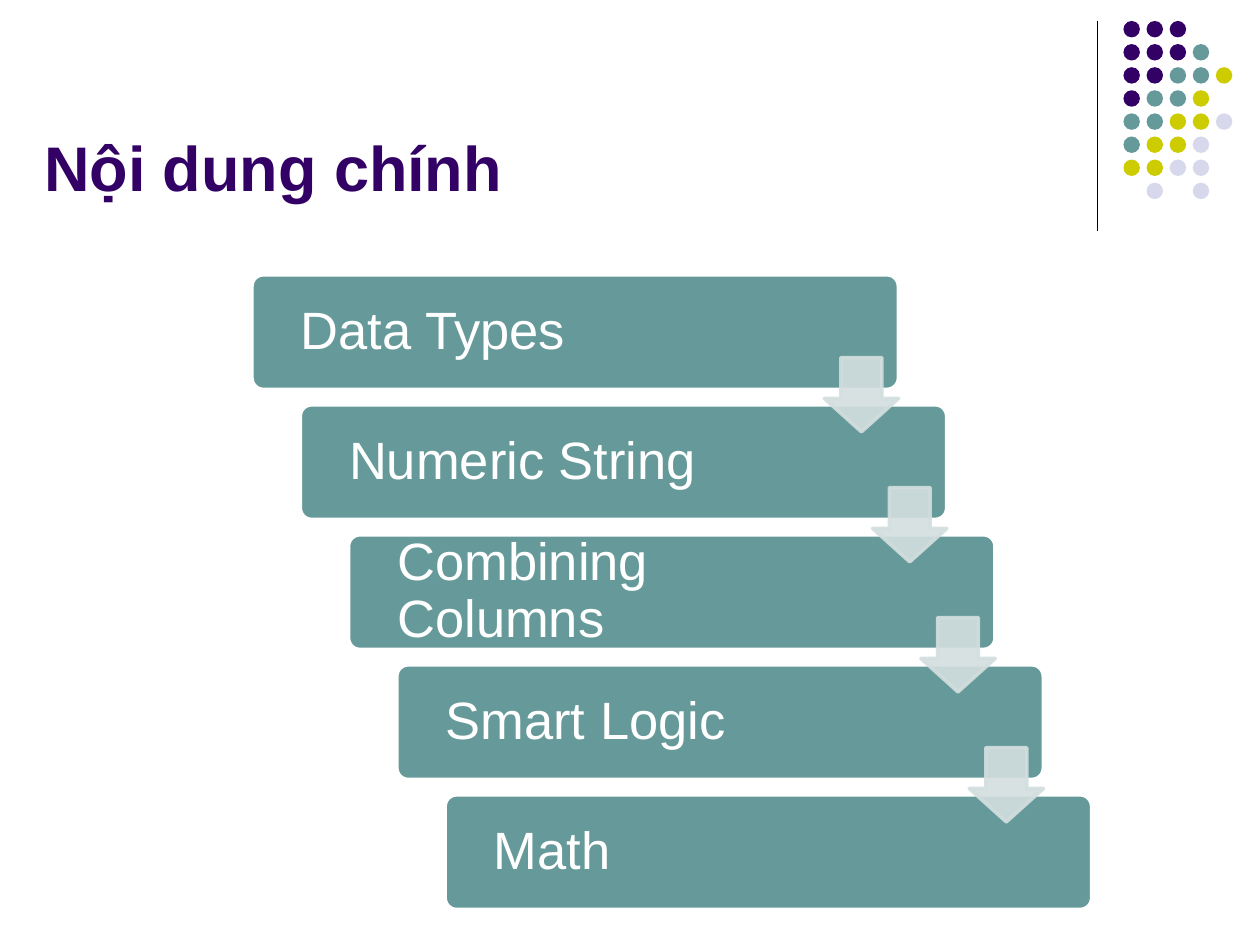
from lxml import etree
from pptx import Presentation
from pptx.dml.color import RGBColor
from pptx.enum.shapes import MSO_CONNECTOR, MSO_SHAPE
from pptx.enum.text import MSO_ANCHOR, PP_ALIGN
from pptx.oxml.ns import qn
from pptx.util import Pt

OVAL, BAR, ARROW = MSO_SHAPE.OVAL, MSO_SHAPE.ROUNDED_RECTANGLE, MSO_SHAPE.DOWN_ARROW
STRAIGHT = MSO_CONNECTOR.STRAIGHT
LEFT, MIDDLE, BOTTOM = PP_ALIGN.LEFT, MSO_ANCHOR.MIDDLE, MSO_ANCHOR.BOTTOM

COLORS = {
    "purple": "330066", "teal": "669999", "olive": "CCCC00", "lavender": "D8D8EC",
    "arrow": "D3DEDE", "white": "FFFFFF", "black": "000000",
}
FONT = "Arial"
TOPICS = ["Data Types", "Numeric String", "Combining Columns", "Smart Logic", "Math"]
DOT_ROWS = ["PPP", "PPPT", "PPTTO", "PTTO", "TTOOL", "TOOL", "OOLL", " L L"]
DOT_COLORS = {"P": "purple", "T": "teal", "O": "olive", "L": "lavender"}
DOT_SIZE, DOT_STEP = 9.4, 13.2
STEP_X, STEP_Y = 27.6, 74.3

presentation = Presentation()
presentation.slide_width, presentation.slide_height = Pt(720), Pt(540)
slide = presentation.slides.add_slide(presentation.slide_layouts[5])


def add_filled_shape(kind, left, top, width, height, fill, line=None):
    """Add a flat preset shape, outlined only when a line colour is given."""
    shape = slide.shapes.add_shape(kind, Pt(left), Pt(top), Pt(width), Pt(height))
    shape.shadow.inherit = False
    shape.fill.solid()
    shape.fill.fore_color.rgb = RGBColor.from_string(COLORS[fill])
    if line:
        shape.line.color.rgb = RGBColor.from_string(COLORS[line])
        shape.line.width = Pt(2)
    else:
        shape.line.fill.background()
    return shape


def add_run(paragraph, text, size, color, bold=False):
    """Add one formatted run to a paragraph."""
    run = paragraph.add_run()
    run.text = text
    run.font.name, run.font.size, run.font.bold = FONT, Pt(size), bold
    run.font.color.rgb = RGBColor.from_string(COLORS[color])


# Corner decoration
divider = slide.shapes.add_connector(STRAIGHT, Pt(627), Pt(12), Pt(627), Pt(132))
divider.line.color.rgb = RGBColor.from_string(COLORS["black"])
divider.line.width = Pt(0.75)
etree.SubElement(divider._element.spPr, qn("a:effectLst"))

for row, codes in enumerate(DOT_ROWS):
    for column, code in enumerate(codes):
        if code in DOT_COLORS:
            add_filled_shape(OVAL, 642 + column * DOT_STEP, 12 + row * DOT_STEP,
                             DOT_SIZE, DOT_SIZE, DOT_COLORS[code])

# Title
title = slide.shapes.title
title.left, title.top, title.width, title.height = Pt(18), Pt(18), Pt(606), Pt(102)
title.text_frame.vertical_anchor = BOTTOM
title_paragraph = title.text_frame.paragraphs[0]
title_paragraph.alignment = LEFT
add_run(title_paragraph, "Nội dung chính", 36, "purple", bold=True)

# Staircase of topics
for index, topic in enumerate(TOPICS):
    bar = add_filled_shape(BAR, 144 + index * STEP_X, 157 + index * STEP_Y,
                           369.4, 65.5, "teal", "white")
    bar.adjustments[0] = 0.1
    frame = bar.text_frame
    frame.word_wrap = True
    frame.vertical_anchor = MIDDLE
    frame.margin_left, frame.margin_right = Pt(26), Pt(78)
    frame.margin_top = frame.margin_bottom = Pt(0)
    paragraph = frame.paragraphs[0]
    paragraph.alignment = LEFT
    paragraph.line_spacing = 0.9
    add_run(paragraph, topic, 30, "white")

# Arrows lie over the bars
for index in range(len(TOPICS) - 1):
    arrow = add_filled_shape(ARROW, 471 + index * STEP_X, 204.3 + index * STEP_Y,
                             42.5, 42.5, "arrow", "arrow")
    arrow.adjustments[0], arrow.adjustments[1] = 0.55, 0.45
    for color in arrow._element.spPr.iter(qn("a:srgbClr")):
        etree.SubElement(color, qn("a:alpha"), val="90000")

presentation.save("out.pptx")
